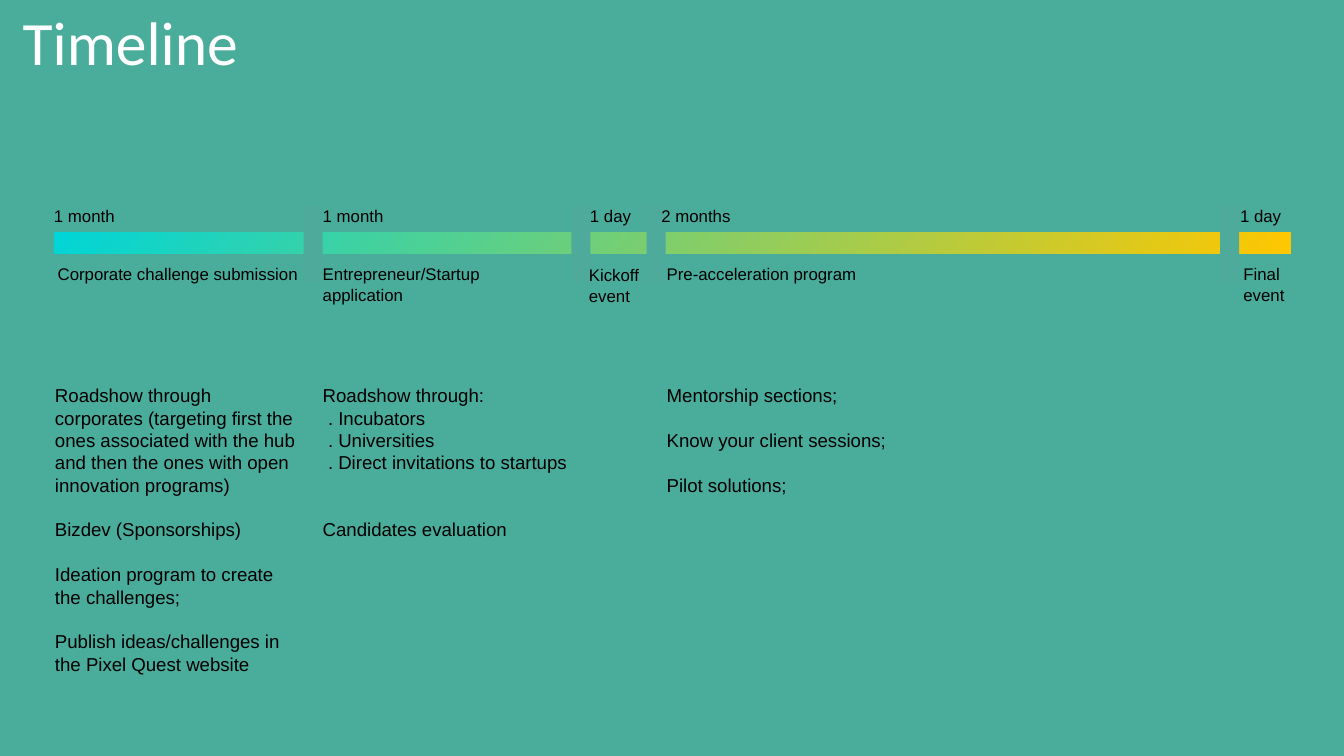
"""Build the programme timeline slide and save it as out.pptx."""
import dataclasses

import pptx
import pptx.dml.color
import pptx.enum.shapes
import pptx.enum.text
import pptx.util

Cm = pptx.util.Cm
Pt = pptx.util.Pt
rgb = pptx.dml.color.RGBColor.from_string
LEFT = pptx.enum.text.PP_ALIGN.LEFT
CENTER = pptx.enum.text.PP_ALIGN.CENTER
RECTANGLE = pptx.enum.shapes.MSO_SHAPE.RECTANGLE


@dataclasses.dataclass(frozen=True)
class Theme:
    background: str = "4AAC9B"
    gap: str = "4EAB9B"
    start: str = "00D5D7"
    finish: str = "FFC700"
    title: tuple = ("Calibri", 33, "FFFFFF", 1.0)
    label: tuple = ("Arial", 9, "000000", Pt(11))
    detail: tuple = ("Arial", 10, "000000", Pt(12))


theme = Theme()


def add_text(box, paragraphs, style, align=LEFT):
    """Write (text, blank lines before, indent in cm) paragraphs into a box."""
    font_name, size, color, spacing = style
    frame = slide.shapes.add_textbox(*map(Cm, box)).text_frame
    frame_format = {"word_wrap": True, "margin_left": 0, "margin_right": 0,
                    "margin_top": 0, "margin_bottom": 0}
    for key, value in frame_format.items():
        setattr(frame, key, value)
    for index, (text, blank_lines, indent) in enumerate(paragraphs):
        paragraph = frame.add_paragraph() if index else frame.paragraphs[0]
        paragraph.text = text
        paragraph_format = {"alignment": align, "line_spacing": spacing}
        if blank_lines:
            paragraph_format["space_before"] = Pt(12 * blank_lines)
        for key, value in paragraph_format.items():
            setattr(paragraph, key, value)
        if indent:
            paragraph._p.get_or_add_pPr().set("marL", str(Cm(indent)))
        for key, value in {"name": font_name, "size": Pt(size)}.items():
            setattr(paragraph.font, key, value)
        paragraph.font.color.rgb = rgb(color)


def add_block(box):
    """Add a plain rectangle without outline or shadow."""
    block = slide.shapes.add_shape(RECTANGLE, *map(Cm, box))
    block.shadow.inherit = False
    block.line.fill.background()
    return block


deck = pptx.Presentation()
deck.slide_width, deck.slide_height = Cm(25.4), Cm(14.29)
slide = deck.slides.add_slide(deck.slide_layouts[6])
slide.background.fill.solid()
slide.background.fill.fore_color.rgb = rgb(theme.background)

add_text((0.43, 0.08, 4.5, 1.52), [("Timeline", 0, 0)], theme.title)

timeline = add_block((1.02, 4.39, 23.37, 0.41))
timeline.fill.gradient()
timeline.fill.gradient_angle = 318
for stop, color in zip(timeline.fill.gradient_stops, (theme.start, theme.finish)):
    stop.color.rgb = rgb(color)

for gap_left in (5.74, 10.8, 12.22, 23.06):
    gap = add_block((gap_left, 3.89, 0.36, 1.45))
    gap.fill.solid()
    gap.fill.fore_color.rgb = rgb(theme.gap)

durations = [
    ("1 month", 1.02, 4.65, LEFT),
    ("1 month", 6.1, 4.65, LEFT),
    ("1 day", 11.15, 1.07, LEFT),
    ("2 months", 12.5, 10.6, LEFT),
    ("1 day", 23.29, 1.07, CENTER),
]
for duration, left, width, align in durations:
    add_text((left, 3.89, width, 0.97), [(duration, 0, 0)], theme.label, align)

phases = [
    (["Corporate challenge submission"], 1.09, 4.98, 4.9),
    (["Entrepreneur/Startup", "application"], 6.1, 4.98, 4.9),
    (["Kickoff event"], 11.13, 5.0, 1.35),
    (["Pre-acceleration program"], 12.6, 4.98, 4.9),
    (["Final event"], 23.5, 4.98, 1.14),
]
for lines, left, top, width in phases:
    add_text((left, top, width, 0.97), [(line, 0, 0) for line in lines], theme.label)

activities = {
    1.04: [
        ("Roadshow through corporates (targeting first the ones associated with "
         "the hub and then the ones with open innovation programs)", 0, 0),
        ("Bizdev (Sponsorships)", 1, 0),
        ("Ideation program to create the challenges;", 1, 0),
        ("Publish ideas/challenges in the Pixel Quest website", 1, 0),
    ],
    6.1: [
        ("Roadshow through:", 0, 0),
        (". Incubators", 0, 0.1),
        (". Universities", 0, 0.1),
        (". Direct invitations to startups", 0, 0.1),
        ("Candidates evaluation", 2, 0),
    ],
    12.6: [
        ("Mentorship sections;", 0, 0),
        ("Know your client sessions;", 1, 0),
        ("Pilot solutions;", 1, 0),
    ],
}
for left, paragraphs in activities.items():
    add_text((left, 7.26, 4.7, 6.2), paragraphs, theme.detail)

deck.save("out.pptx")
